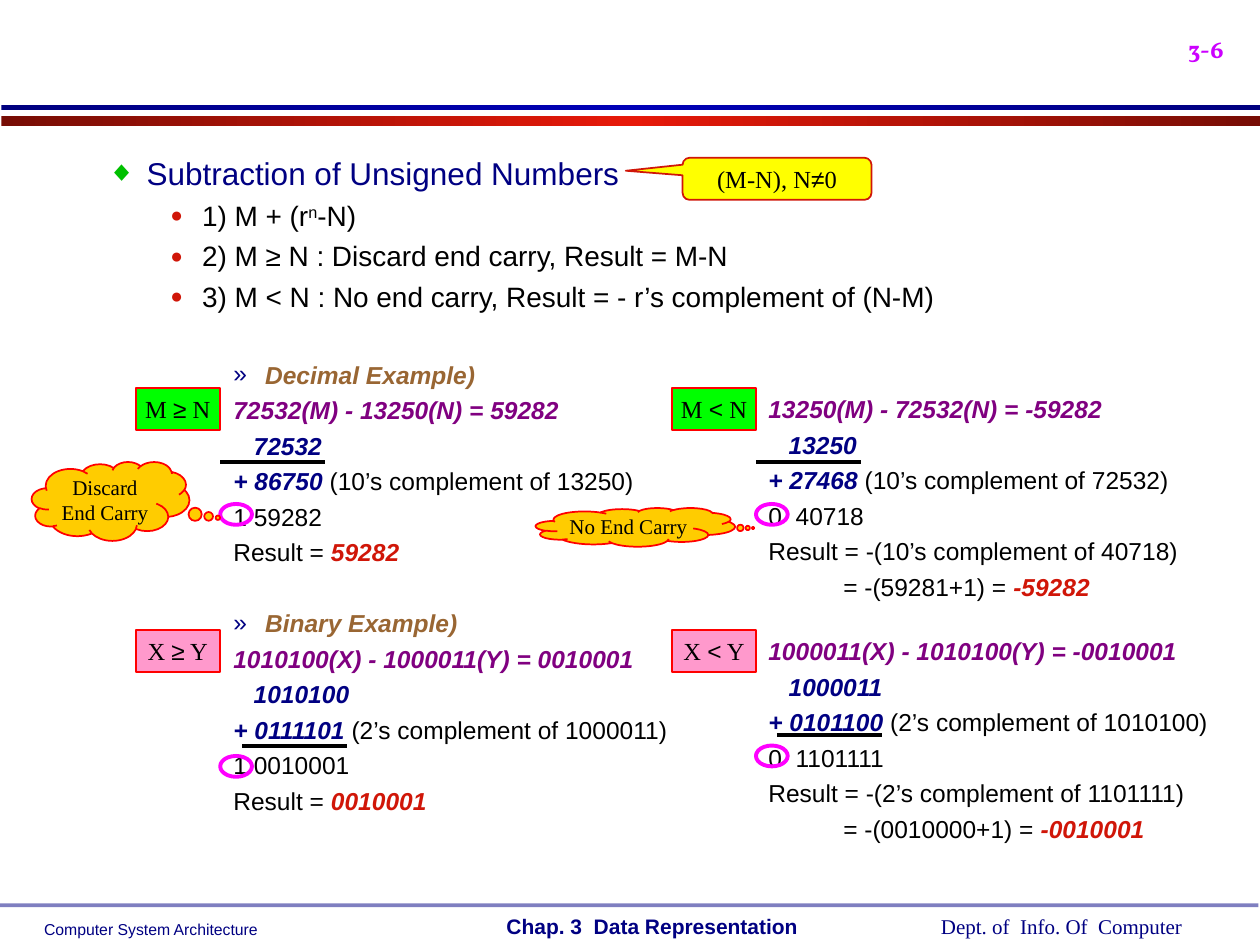
import copy

import lxml.etree
import pptx
import pptx.dml.color
import pptx.enum.shapes
import pptx.enum.text
import pptx.oxml.ns
import pptx.util

Cm = pptx.util.Cm
Pt = pptx.util.Pt
RGBColor = pptx.dml.color.RGBColor
SHAPE = pptx.enum.shapes.MSO_SHAPE
ALIGN = pptx.enum.text.PP_ALIGN
qn = pptx.oxml.ns.qn

NAVY = RGBColor(0x00, 0x00, 0x82)
BLUE_EDGE = RGBColor(0x00, 0x00, 0x7F)
BLUE_CENTRE = RGBColor(0x00, 0x00, 0xB6)
RED_EDGE = RGBColor(0x77, 0x0D, 0x05)
RED_CENTRE = RGBColor(0xE7, 0x19, 0x09)
BLACK = RGBColor(0x00, 0x00, 0x00)
PURPLE = RGBColor(0x80, 0x00, 0x80)
BROWN = RGBColor(0x99, 0x66, 0x33)
CRIMSON = RGBColor(0xD0, 0x16, 0x08)
RED = RGBColor(0xFF, 0x00, 0x00)
GREEN = RGBColor(0x00, 0xFF, 0x00)
BULLET_GREEN = RGBColor(0x00, 0xC0, 0x00)
YELLOW = RGBColor(0xFF, 0xFF, 0x00)
ORANGE = RGBColor(0xFF, 0xCC, 0x00)
PINK = RGBColor(0xFF, 0x99, 0xCC)
MAGENTA = RGBColor(0xFF, 0x00, 0xFF)
VIOLET = RGBColor(0xCC, 0x00, 0xFF)

SANS = "Arial"
SERIF = "Times New Roman"
RULE_GAP = 4        # points before a numbered rule
LINE_GAP = 3.5      # points before a line of an example
DECIMAL_GAP = 26.5  # points before the first example
BINARY_GAP = 23.9   # points before the second example
TEXT_INDENT = 3.81
SUM_INDENT = 4.22   # first number, set over the one after "+"
EQUALS_INDENT = 5.32


def add_element(parent, tag, **attributes):
    child = lxml.etree.SubElement(parent, qn(tag))
    for name, value in attributes.items():
        child.set(name, str(value))
    return child


def add_span(para, text, size=14, font=SANS, color=BLACK, bold=False,
             italic=False, baseline=0):
    span = para.add_run()
    span.text = text
    span.font.size = Pt(size)
    span.font.name = font
    span.font.color.rgb = color
    span.font.bold = bold
    span.font.italic = italic
    if baseline:
        span.font._element.set("baseline", str(baseline * 1000))


def strong(text, color):
    return text, dict(color=color, bold=True, italic=True)


def add_para(frame, spans, left=0, hanging=0, before=0, level=0, bullet=None,
             bullet_color=NAVY, bullet_size=100, align=ALIGN.LEFT):
    """Fill the empty first paragraph of a frame, or append a new one."""
    first = frame.paragraphs[0]
    is_first = not first.runs
    para = first if is_first else frame.add_paragraph()
    para.level = level
    properties = para._p.get_or_add_pPr()
    properties.set("marL", str(Cm(left)))
    properties.set("indent", str(-Cm(hanging)))
    if bullet:
        tint = add_element(properties, "a:buClr")
        add_element(tint, "a:srgbClr", val=bullet_color)
        add_element(properties, "a:buSzPct", val=bullet_size * 1000)
        add_element(properties, "a:buFont", typeface=SANS)
        add_element(properties, "a:buChar", char=bullet)
    else:
        add_element(properties, "a:buNone")
    para.space_before = Pt(0 if is_first else before)
    para.alignment = align
    for text, style in spans:
        add_span(para, text, **style)


def add_text_box(page, place, spans=None):
    box = page.shapes.add_textbox(*map(Cm, place))
    box.text_frame.word_wrap = True
    if spans:
        add_para(box.text_frame, spans)
    return box.text_frame


def add_box(page, kind, place, fill=None, line=None, width=1, spans=(),
            adjustments=(), inset=None, wrap=False):
    shape = page.shapes.add_shape(kind, *map(Cm, place))
    shape.shadow.inherit = False
    for index, value in enumerate(adjustments):
        shape.adjustments[index] = value
    if fill is None:
        shape.fill.background()
    else:
        shape.fill.solid()
        shape.fill.fore_color.rgb = fill
    if line is None:
        shape.line.fill.background()
    else:
        shape.line.color.rgb = line
        shape.line.width = Pt(width)
    if spans:
        frame = shape.text_frame
        frame.word_wrap = wrap
        frame.vertical_anchor = pptx.enum.text.MSO_ANCHOR.MIDDLE
        if inset is not None:
            frame.margin_left = frame.margin_right = Cm(inset)
            frame.margin_top = frame.margin_bottom = Cm(inset)
        add_para(frame, spans, align=ALIGN.CENTER)
    return shape


def add_gradient_bar(page, place, edge, centre):
    bar = add_box(page, SHAPE.RECTANGLE, place)
    bar.fill.gradient()
    bar.fill.gradient_angle = 0
    stops = bar._element.spPr.find(".//" + qn("a:gsLst"))
    stops.insert(1, copy.deepcopy(stops[0]))
    for stop, position, color in zip(bar.fill.gradient_stops, (0, 0.5, 1),
                                     (edge, centre, edge)):
        stop.position = position
        stop.color.rgb = color


def add_rule(page, left, top, length=2.11):
    rule = page.shapes.add_connector(
        pptx.enum.shapes.MSO_CONNECTOR.STRAIGHT,
        Cm(left), Cm(top), Cm(left + length), Cm(top))
    rule.line.color.rgb = BLACK
    rule.line.width = Pt(2.25)
    add_element(rule._element.spPr, "a:effectLst")


def add_calculation(frame, problem, first, second, note, carry, result, last=None):
    """Write one worked subtraction; last is its closing line, if any."""
    lines = [
        ([strong(problem, PURPLE)], TEXT_INDENT),
        ([strong(first, NAVY)], SUM_INDENT),
        ([strong("+ " + second, NAVY), (f" ({note})", {})], TEXT_INDENT),
        ([(carry, {})], TEXT_INDENT),
    ]
    if last:
        step, answer = last
        lines.append(([("Result = " + result, {})], TEXT_INDENT))
        lines.append(([(step, {}), strong(answer, CRIMSON)], EQUALS_INDENT))
    else:
        lines.append(([("Result = ", {}), strong(result, CRIMSON)], TEXT_INDENT))
    for spans, left in lines:
        add_para(frame, spans, left=left, before=LINE_GAP, level=2)


def add_page_frame(page):
    add_gradient_bar(page, (0.03, 2.34, 25.37, 0.2), RED_EDGE, RED_CENTRE)
    add_gradient_bar(page, (0.03, 2.11, 25.37, 0.1), BLUE_EDGE, BLUE_CENTRE)
    rule = add_box(page, SHAPE.RECTANGLE, (0, 18.21, 25.37, 0.08), fill=NAVY)
    color = rule._element.spPr.find(".//" + qn("a:srgbClr"))
    add_element(color, "a:alpha", val=50000)
    footers = [
        ((0.64, 18.42, 5.1, 0.63), "Computer System Architecture", dict(size=9)),
        ((18.72, 18.29, 5.7, 0.76), "Dept. of  Info. Of  Computer",
         dict(size=12, font=SERIF)),
        ((9.96, 18.29, 6.7, 0.76), "Chap. 3  Data Representation",
         dict(size=12, bold=True)),
    ]
    for place, text, style in footers:
        add_text_box(page, place, [(text, dict(style, color=NAVY))])
    add_text_box(page, (23.7, 0, 1.7, 1.42), [
        ("3-6", dict(size=24, font="Vollkorn", color=VIOLET, bold=True, baseline=-25))])


def fill_body(body):
    body.left, body.top, body.width, body.height = map(Cm, (0.64, 2.97, 22.89, 15.24))
    frame = body.text_frame
    frame.auto_size = pptx.enum.text.MSO_AUTO_SIZE.NONE
    add_para(frame, [("Subtraction of Unsigned Numbers", dict(size=18, color=NAVY))],
             left=2.06, hanging=0.79, bullet="◆", bullet_color=BULLET_GREEN,
             bullet_size=90)
    rules = [
        [("1) M + (r", {}), ("n", dict(baseline=30)), ("-N)", {})],
        [("2) M ≥ N : Discard end carry, Result = M-N", {})],
        [("3) M < N : No end carry, Result = - r’s complement of (N-M)", {})],
    ]
    for spans in rules:
        add_para(frame, [(text, dict(style, size=16)) for text, style in spans],
                 left=3.18, hanging=0.64, before=RULE_GAP, level=1, bullet="●",
                 bullet_color=CRIMSON, bullet_size=75)
    examples = [
        ("Decimal Example)", DECIMAL_GAP,
         ("72532(M) - 13250(N) = 59282", "72532", "86750",
          "10’s complement of 13250", "1 59282", "59282")),
        ("Binary Example)", BINARY_GAP,
         ("1010100(X) - 1000011(Y) = 0010001", "1010100", "0111101",
          "2’s complement of 1000011", "1 0010001", "0010001")),
    ]
    for heading, gap, calculation in examples:
        add_para(frame, [strong(heading, BROWN)], left=4.45, hanging=0.64,
                 before=gap, level=2, bullet="»")
        add_calculation(frame, *calculation)


def main():
    deck = pptx.Presentation()
    deck.slide_width, deck.slide_height = Cm(25.4), Cm(19.05)
    page = deck.slides.add_slide(deck.slide_layouts[1])
    title = page.shapes.title._element
    title.getparent().remove(title)
    add_page_frame(page)
    fill_body(page.placeholders[1])

    # Right-hand calculations, with a negative result
    add_calculation(add_text_box(page, (11.43, 7.82, 13.97, 6.98)),
                    "13250(M) - 72532(N) = -59282", "13250", "27468",
                    "10’s complement of 72532", "0  40718",
                    "-(10’s complement of 40718)", ("= -(59281+1) = ", "-59282"))
    add_calculation(add_text_box(page, (11.43, 12.7, 13.97, 5.51)),
                    "1000011(X) - 1010100(Y) = -0010001", "1000011", "0101100",
                    "2’s complement of 1010100", "0  1101111",
                    "-(2’s complement of 1101111)", ("= -(0010000+1) = ", "-0010001"))

    # Case labels
    serif = dict(font=SERIF)
    for top, fill, left_name, right_name in ((7.82, GREEN, "M", "N"),
                                             (12.7, PINK, "X", "Y")):
        for left, sign in ((2.74, "≥"), (13.55, "<")):
            add_box(page, SHAPE.RECTANGLE, (left, top, 1.69, 0.85), fill, RED,
                    spans=[(left_name + " ", serif), (sign, {}),
                           (" " + right_name, serif)])

    # Sum lines and rings round the end carries
    for left, top in ((4.44, 9.31), (15.24, 9.31), (4.88, 15.03), (15.66, 14.82)):
        add_rule(page, left, top)
    for left, top in ((4.44, 10.16), (15.24, 10.16), (4.44, 15.24), (15.24, 15.03)):
        add_box(page, SHAPE.OVAL, (left, top, 0.64, 0.42), line=MAGENTA, width=2.25)

    # Callouts
    add_box(page, SHAPE.ROUNDED_RECTANGULAR_CALLOUT, (13.76, 3.18, 3.81, 0.85),
            YELLOW, CRIMSON, adjustments=(-0.8, -0.19, 0.17),
            spans=[("(M-N), N", serif), ("≠", {}), ("0", serif)])
    clouds = [
        ("Discard End Carry", (0.64, 9.31, 3.18, 1.59), (0.68, 0.21)),
        ("No End Carry", (10.8, 10.24, 4.02, 0.78), (0.59, 0.02)),
    ]
    for text, place, tail in clouds:
        add_box(page, SHAPE.CLOUD_CALLOUT, place, ORANGE, RED, adjustments=tail,
                inset=0, wrap=True, spans=[(text, dict(size=12, font=SERIF))])

    deck.save("out.pptx")


if __name__ == "__main__":
    main()
